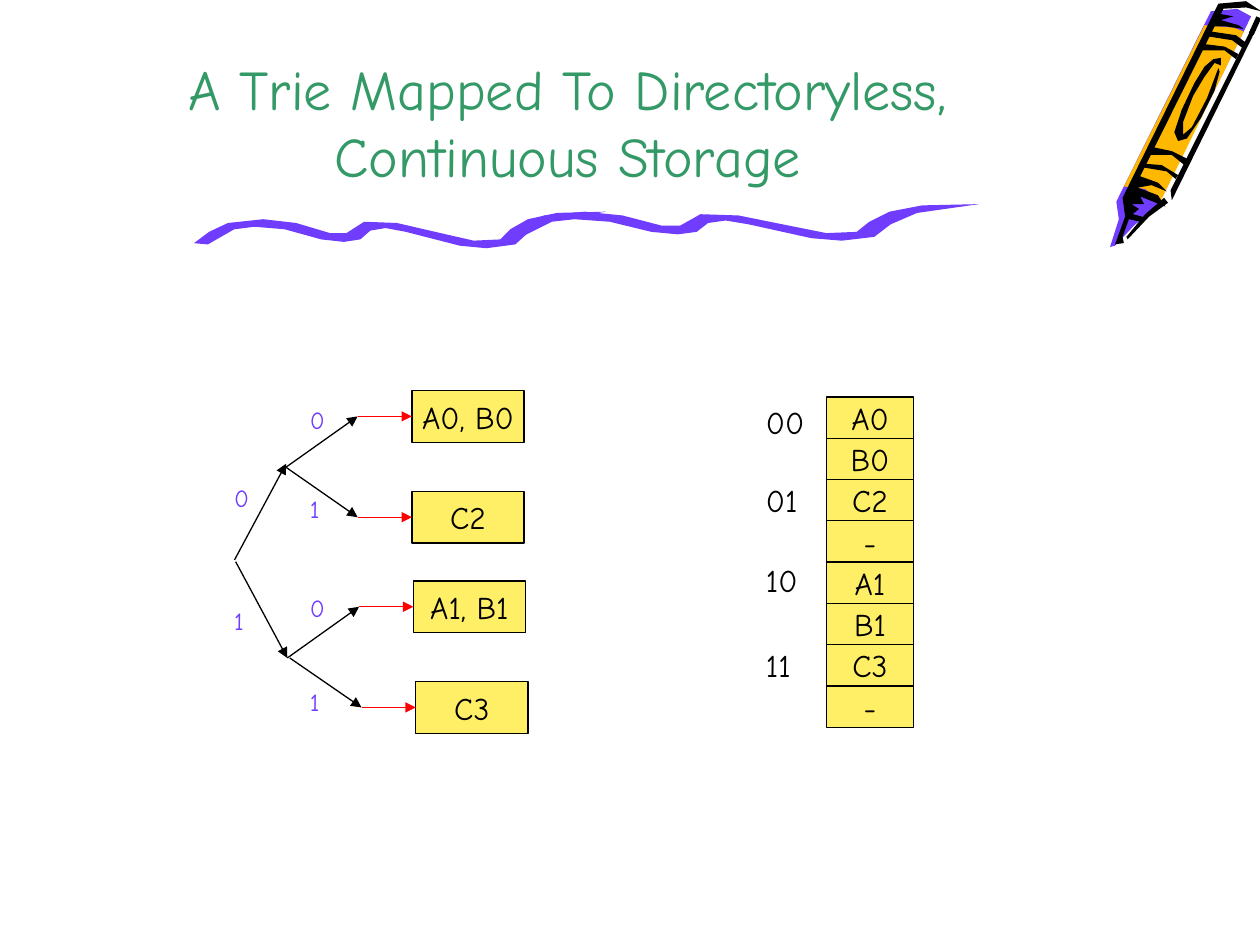
"""Builds a slide that maps a binary trie to directoryless, continuous storage."""
import lxml.etree
import pptx
import pptx.dml.color
import pptx.enum.shapes
import pptx.enum.text
import pptx.oxml.ns
import pptx.util

Pt = pptx.util.Pt
qn = pptx.oxml.ns.qn
ALIGN = pptx.enum.text.PP_ALIGN
ANCHOR = pptx.enum.text.MSO_ANCHOR
FONT = "Comic Neue"
COLORS = {"title": "339966", "violet": "703DFF", "orange": "FFB800",
          "black": "000000", "red": "FF0000", "bucket": "FFEF66"}

TITLE = "A Trie Mapped To Directoryless, Continuous Storage"
TRIE = [
    {"bit": "0", "bit_top": 272.2, "start": (134, 320), "fork": (163.5, 265), "fork_y": 267,
     "leaves": [("0", 228.2, "A0, B0", 235.4, 223.2), ("1", 278.6, "C2", 235.4, 280.8)]},
    {"bit": "1", "bit_top": 342.7, "start": (134.7, 321), "fork": (164.2, 376), "fork_y": 376,
     "leaves": [("0", 335.5, "A1, B1", 236.2, 332), ("1", 388.8, "C3", 237.6, 389.5)]},
]
ADDRESSES = [("00", 226.8), ("01", 271.4), ("10", 316.8), ("11", 365.8)]
STORAGE = ["A0", "B0", "C2", "-", "A1", "B1", "C3", "-"]

LEAF_WIDTH, LEAF_HEIGHT = 64.1, 29.5
POINTER, BRANCH = 31, 41
SLOT_LEFT, SLOT_TOP, SLOT_WIDTH, SLOT_HEIGHT = 472.3, 226.8, 49.7, 23.6

OUTLINE_STEP = 0.72
CRAYON = [
    ("violet", [(993, 13), (917, 166), (901, 178), (885, 195), (881, 196), (888, 174),
                (886, 160), (961, 9), (982, 7)]),
    ("orange", [(921, 160), (909, 150), (892, 148), (956, 20), (979, 22), (987, 25)]),
    ("black", [(927, 161), (912, 172), (895, 190), (894, 188), (909, 170), (924, 157)]),
    ("black", [(987, 23), (973, 21), (961, 21), (968, 11), (979, 13), (969, 16), (983, 20)]),
    ("black", [(968, 57), (964, 72), (953, 94), (942, 110), (935, 112), (932, 105),
               (938, 87), (948, 66), (956, 53), (963, 47), (969, 46), (969, 52),
               (964, 50), (956, 61), (947, 76), (939, 97), (939, 107), (946, 101),
               (958, 78), (967, 54)]),
    ("black", [(997, 23), (930, 159), (929, 151), (993, 23)]),
    ("black", [(925, 164), (919, 155), (903, 149), (914, 147), (926, 152), (919, 145),
               (905, 140), (971, 7), (989, 6), (1001, 9), (989, 1), (967, 3), (891, 157),
               (893, 172), (885, 194), (892, 193), (891, 188), (896, 174), (905, 176),
               (910, 173), (899, 170), (904, 166), (898, 162), (908, 162), (905, 156)]),
    ("black", [(933, 142), (926, 136), (908, 133), (909, 130), (922, 131), (935, 139)]),
    ("black", [(940, 131), (930, 123), (913, 123), (916, 117), (930, 120), (942, 126)]),
    ("black", [(981, 47), (972, 40), (953, 40), (956, 35), (972, 37), (983, 43)]),
    ("black", [(986, 38), (978, 32), (959, 29), (961, 25), (981, 28), (989, 34)]),
]
WAVE = [(11, 26), (32, 14), (48, 12), (72, 14), (101, 22), (119, 24), (132, 22), (140, 15),
        (152, 13), (168, 16), (211, 27), (232, 29), (255, 26), (266, 16), (284, 7), (327, 0),
        (288, 1), (265, 6), (251, 14), (243, 22), (222, 23), (200, 18), (161, 9), (135, 8),
        (121, 17), (108, 17), (81, 9), (55, 6), (27, 9), (12, 16), (0, 25)]
WAVE_PLACES = [(154, 168, 1), (401, 162, 1.15)]


def rgb(name):
    return pptx.dml.color.RGBColor.from_string(COLORS[name])


def write(frame, text, size, color, align, anchor):
    frame.text = text
    frame.vertical_anchor = anchor
    paragraph = frame.paragraphs[0]
    paragraph.alignment = align
    for run in paragraph.runs:
        run.font.name = FONT
        run.font.size = Pt(size)
        run.font.color.rgb = rgb(color)


def add_outline(shapes, points, color):
    builder = shapes.build_freeform(*points[0], scale=Pt(OUTLINE_STEP))
    builder.add_line_segments(points[1:], close=True)
    outline = builder.convert_to_shape()
    outline.shadow.inherit = False
    outline.fill.solid()
    outline.fill.fore_color.rgb = rgb(color)
    outline.line.fill.background()


def add_line(shapes, start, end, color="black", width=0.75, arrow=True):
    line = shapes.add_connector(pptx.enum.shapes.MSO_CONNECTOR.STRAIGHT,
                                *(Pt(v) for v in (*start, *end)))
    line.line.color.rgb = rgb(color)
    line.line.width = Pt(width)
    properties = line.element.spPr
    if arrow:
        lxml.etree.SubElement(properties.find(qn("a:ln")), qn("a:tailEnd"), type="triangle")
    lxml.etree.SubElement(properties, qn("a:effectLst"))
    return line


def add_bucket(shapes, text, left, top, width, height):
    bucket = shapes.add_shape(pptx.enum.shapes.MSO_SHAPE.RECTANGLE,
                              *(Pt(v) for v in (left, top, width, height)))
    bucket.shadow.inherit = False
    bucket.fill.solid()
    bucket.fill.fore_color.rgb = rgb("bucket")
    bucket.line.color.rgb = rgb("black")
    bucket.line.width = Pt(0.75)
    write(bucket.text_frame, text, 18, "black", ALIGN.CENTER, ANCHOR.MIDDLE)
    bucket.text_frame.word_wrap = False
    return bucket


def add_label(shapes, text, left, top, width, height, size, color):
    label = shapes.add_textbox(*(Pt(v) for v in (left, top, width, height)))
    label.text_frame.word_wrap = True
    write(label.text_frame, text, size, color, ALIGN.LEFT, ANCHOR.TOP)


def add_bit(shapes, bit, left, top):
    add_label(shapes, bit, left, top, 18, 24.5, 14, "violet")


def add_decoration(shapes):
    crayon = shapes.add_group_shape().shapes
    for color, points in CRAYON:
        add_outline(crayon, points, color)
    add_line(crayon, (719.3, 10), (715, 19.4), width=3, arrow=False)
    underline = shapes.add_group_shape().shapes
    for left, top, stretch in WAVE_PLACES:
        add_outline(underline, [(left + x * stretch, top + y) for x, y in WAVE], "violet")


def add_trie(shapes):
    for half in TRIE:
        add_line(shapes, half["start"], half["fork"])
        add_bit(shapes, half["bit"], 126.7, half["bit_top"])
        for bit, bit_top, keys, left, top in half["leaves"]:
            tip = (left - POINTER, top + LEAF_HEIGHT / 2)
            add_line(shapes, (tip[0] - BRANCH, half["fork_y"]), tip)
            leaf = add_bucket(shapes, keys, left, top, LEAF_WIDTH, LEAF_HEIGHT)
            pointer = add_line(shapes, tip, (left, tip[1]), "red")
            pointer.end_connect(leaf, 1)
            add_bit(shapes, bit, 170, bit_top)


def add_storage(shapes):
    for address, top in ADDRESSES:
        add_label(shapes, address, 430.6, top, 41, 28.8, 18, "black")
    for index, key in enumerate(STORAGE):
        add_bucket(shapes, key, SLOT_LEFT, SLOT_TOP + index * SLOT_HEIGHT,
                   SLOT_WIDTH, SLOT_HEIGHT)


def main():
    deck = pptx.Presentation()
    deck.slide_width, deck.slide_height = Pt(720), Pt(540)
    slide = deck.slides.add_slide(deck.slide_layouts[5])
    title = slide.shapes.title
    title.left, title.top, title.width, title.height = Pt(54), Pt(0), Pt(541), Pt(111.6)
    write(title.text_frame, TITLE, 32, "title", ALIGN.CENTER, ANCHOR.BOTTOM)
    add_decoration(slide.shapes)
    add_trie(slide.shapes)
    add_storage(slide.shapes)
    deck.save("out.pptx")


if __name__ == "__main__":
    main()
